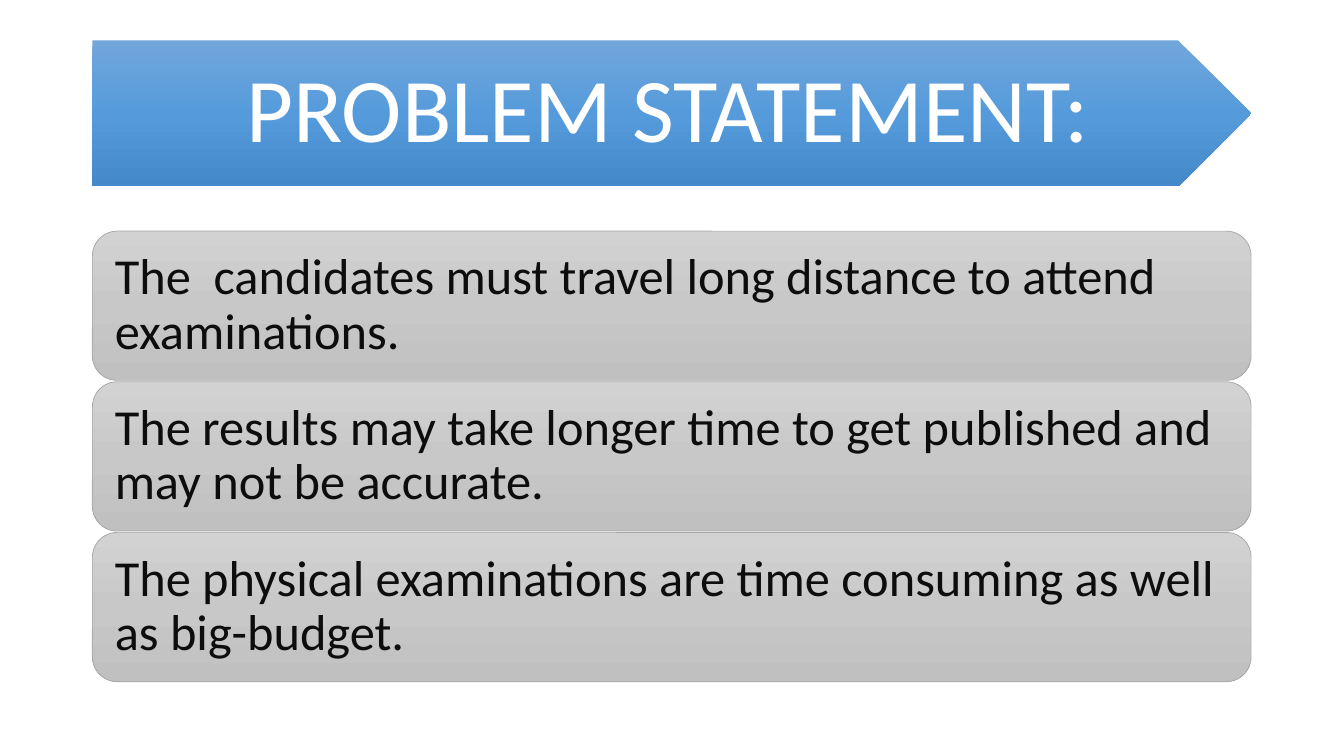
"""Build the problem statement slide."""
from copy import deepcopy

from pptx import Presentation
from pptx.dml.color import RGBColor
from pptx.enum.shapes import MSO_SHAPE as Shape
from pptx.enum.text import MSO_ANCHOR as Anchor, PP_ALIGN as Align
from pptx.oxml.ns import qn
from pptx.util import Pt

WHITE = RGBColor(0xFF, 0xFF, 0xFF)
INK = RGBColor(0x0D, 0x0D, 0x0D)
BORDER = RGBColor(0xA5, 0xA5, 0xA5)
BLUES = (RGBColor(0x71, 0xA6, 0xDB), RGBColor(0x55, 0x9B, 0xDB), RGBColor(0x44, 0x8A, 0xCA))
GREYS = (RGBColor(0xD2, 0xD2, 0xD2), RGBColor(0xC8, 0xC8, 0xC8), RGBColor(0xC0, 0xC0, 0xC0))

LEFT, WIDTH = 66, 827.7
BANNER_TOP, BANNER_HEIGHT = 28.8, 104.4
FIRST_TOP, BOX_HEIGHT, BOX_PITCH = 165.1, 106.6, 107.6

PROBLEMS = (
    "The  candidates must travel long distance to attend examinations.",
    "The results may take longer time to get published and may not be accurate.",
    "The physical examinations are time consuming as well as big-budget.",
)


def fill_gradient(shape, colours):
    """Fill a shape from top to bottom with three evenly spaced colours."""
    fill = shape.fill
    fill.gradient()
    fill.gradient_angle = 270
    stop_list = shape.fill._xPr.find(".//" + qn("a:gsLst"))
    stop_list.append(deepcopy(stop_list[0]))
    for stop, position, colour in zip(fill.gradient_stops, (0, 0.5, 1), colours):
        stop.position = position
        stop.color.rgb = colour


def add_panel(page, kind, top, height, colours):
    """Add a shadowless gradient shape across the content width."""
    panel = page.shapes.add_shape(kind, Pt(LEFT), Pt(top), Pt(WIDTH), Pt(height))
    panel.shadow.inherit = False
    fill_gradient(panel, colours)
    return panel


def set_text(shape, text, size, colour, align, insets):
    """Write one vertically centred paragraph in a shape."""
    frame = shape.text_frame
    frame.word_wrap = True
    frame.vertical_anchor = Anchor.MIDDLE
    frame.margin_left, frame.margin_top, frame.margin_right, frame.margin_bottom = map(Pt, insets)
    para = frame.paragraphs[0]
    para.text = text
    para.alignment = align
    para.line_spacing = 0.9
    para.font.name = "Calibri"
    para.font.size = Pt(size)
    para.font.color.rgb = colour


def add_banner(page, text):
    """Add the blue title arrow."""
    banner = add_panel(page, Shape.PENTAGON, BANNER_TOP, BANNER_HEIGHT, BLUES)
    banner.line.fill.background()
    set_text(banner, text, 65, WHITE, Align.CENTER, (27.3, 13.7, 6.5, 13.7))


def add_problem(page, top, text):
    """Add one grey rounded box with a problem."""
    box = add_panel(page, Shape.ROUNDED_RECTANGLE, top, BOX_HEIGHT, GREYS)
    box.line.color.rgb = BORDER
    box.line.width = Pt(0.5)
    set_text(box, text, 36, INK, Align.LEFT, (10.8,) * 4)


def main():
    """Build and save the deck."""
    deck = Presentation()
    deck.slide_width, deck.slide_height = Pt(960), Pt(540)
    page = deck.slides.add_slide(deck.slide_layouts[6])
    add_banner(page, "PROBLEM STATEMENT:")
    for index, problem in enumerate(PROBLEMS):
        add_problem(page, FIRST_TOP + index * BOX_PITCH, problem)
    deck.save("out.pptx")


if __name__ == "__main__":
    main()
